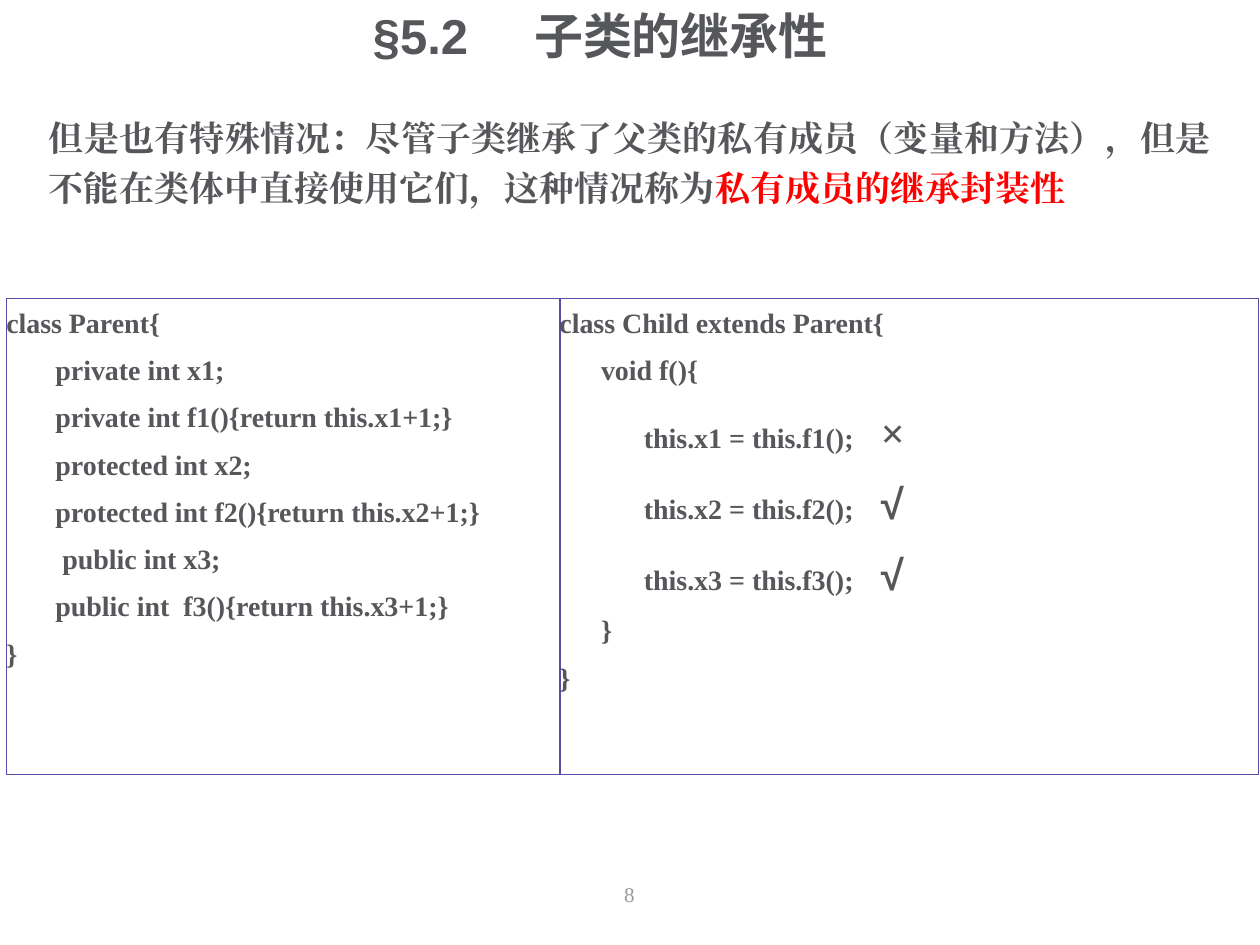
from pptx import Presentation
from pptx.util import Inches, Pt
from pptx.dml.color import RGBColor
from pptx.enum.shapes import MSO_SHAPE
from pptx.enum.text import PP_ALIGN, MSO_ANCHOR
from pptx.oxml.ns import qn
from lxml.etree import SubElement

HUES = {"text": "55575A", "red": "FF0000", "line": "594CA6", "page": "999A9B"}
SERIF, SANS, HAN = "Times New Roman", "Arial", "Noto Sans CJK SC"


def write(para, text, size=16, font=SERIF, hue="text", bold=True):
    """Add one formatted run."""
    run = para.add_run()
    run.text = text
    run.font.size = Pt(size)
    run.font.bold = bold
    run.font.name = font
    run.font.color.rgb = RGBColor.from_string(HUES[hue])
    SubElement(run._r.get_or_add_rPr(), qn("a:ea"), typeface=font)


def setup(shape, side=0.1, top=0.05):
    """Set insets and wrapping, and return the text frame."""
    frame = shape.text_frame
    frame.word_wrap = True
    frame.vertical_anchor = MSO_ANCHOR.TOP
    frame.margin_left = frame.margin_right = Inches(side)
    frame.margin_top = frame.margin_bottom = Inches(top)
    return frame


def style(para, align=PP_ALIGN.LEFT, lines=1.2, before=4, tabs=()):
    para.alignment = align
    para.line_spacing = lines
    para.space_before = Pt(before)
    if tabs:
        stops = SubElement(para._p.get_or_add_pPr(), qn("a:tabLst"))
        for stop in tabs:
            SubElement(stops, qn("a:tab"), pos=str(Inches(stop)), algn="l")


def add_box(slide, box):
    return slide.shapes.add_textbox(*map(Inches, box))


def add_title(slide, box):
    frame = setup(add_box(slide, box), 0, 0)
    frame.margin_left = Inches(1.61)
    para = frame.paragraphs[0]
    style(para, lines=0.9, before=10, tabs=[1.28])
    write(para, "§5.2\t", 28, SANS)
    write(para, "子类的继承性", 28, HAN)


def add_intro(slide, box):
    para = setup(add_box(slide, box)).paragraphs[0]
    style(para, PP_ALIGN.JUSTIFY, before=5)
    write(para, "但是也有特殊情况：尽管子类继承了父类的私有成员（变量和方法），"
                "但是不能在类体中直接使用它们，这种情况称为", 20)
    write(para, "私有成员的继承封装性", 20, hue="red")


def add_code(slide, box, rows, tabs):
    """Draw a framed listing; a row is text, or text with a mark and its font."""
    shape = slide.shapes.add_shape(MSO_SHAPE.RECTANGLE, *map(Inches, box))
    shape.shadow.inherit = False
    shape.fill.background()
    shape.line.color.rgb = RGBColor.from_string(HUES["line"])
    shape.line.width = Pt(0.75)
    frame = setup(shape, 0, 0)
    for num, (text, *mark) in enumerate(rows):
        para = frame.add_paragraph() if num else frame.paragraphs[0]
        style(para, before=6 if mark else 4, tabs=tabs)
        write(para, text)
        if mark:
            write(para, mark[0], 24, mark[1])


def add_page(slide, box):
    para = setup(add_box(slide, box)).paragraphs[0]
    para.alignment = PP_ALIGN.CENTER
    write(para, "8", 12, hue="page", bold=False)


def main():
    deck = Presentation()
    deck.slide_width, deck.slide_height = Inches(10), Inches(7.5)
    slide = deck.slides.add_slide(deck.slide_layouts[6])

    add_page(slide, (3.31, 6.95, 3.37, 0.4))
    add_title(slide, (1.35, 0.1, 7, 1.42))

    # Parent class on the left, child class on the right
    parent = [
        ("class Parent{",),
        ("\tprivate int x1;",),
        ("\tprivate int f1(){return this.x1+1;}",),
        ("\tprotected int x2;",),
        ("\tprotected int f2(){return this.x2+1;}",),
        ("\t public int x3;",),
        ("\tpublic int  f3(){return this.x3+1;}",),
        ("}",),
    ]
    marks = [("×", SERIF), ("√", SANS), ("√", SANS)]
    calls = [(f"\t\tthis.x{n} = this.f{n}();\t", *mark)
             for n, mark in enumerate(marks, 1)]
    child = [("class Child extends Parent{",), ("\tvoid f(){",),
             *calls, ("\t}",), ("}",)]
    add_code(slide, (0.05, 2.37, 4.4, 3.78), parent, [0.39])
    add_code(slide, (4.44, 2.37, 5.55, 3.78), child, [0.33, 0.67, 2.55])

    add_intro(slide, (0.29, 0.81, 9.42, 1.37))
    deck.save("out.pptx")


if __name__ == "__main__":
    main()
